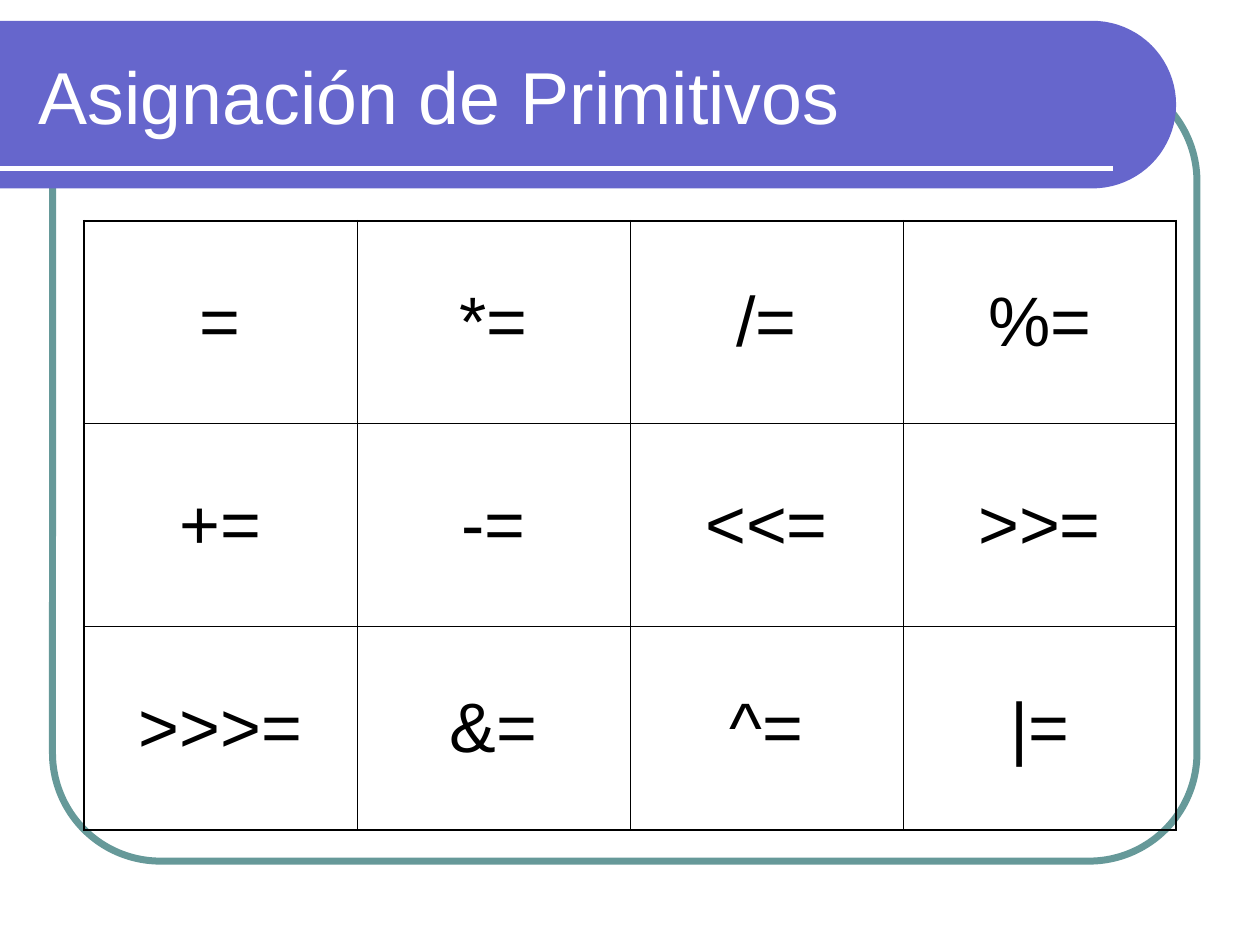
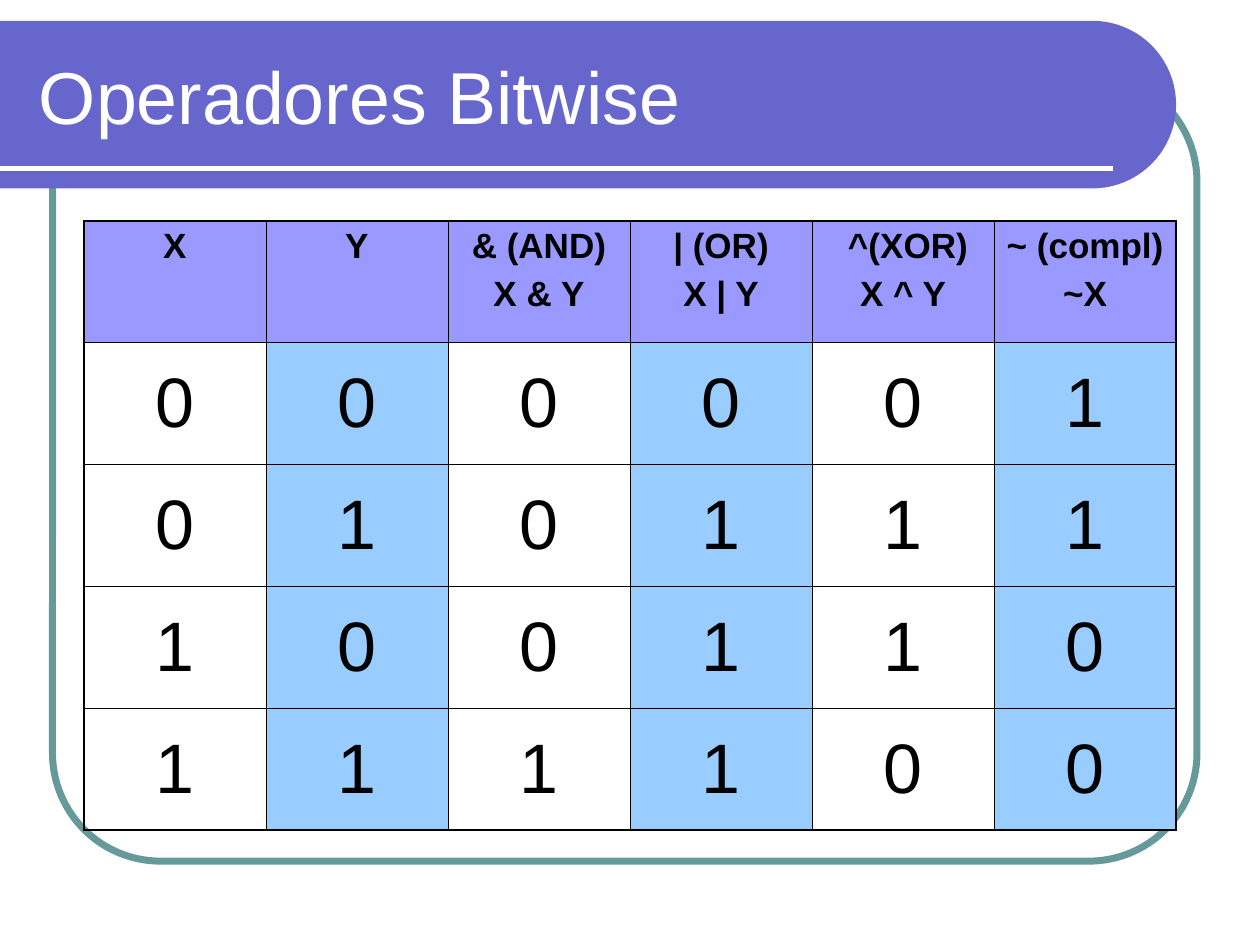
import math
from itertools import product

from lxml import etree
from pptx import Presentation
from pptx import util as u
from pptx.dml.color import RGBColor
from pptx.enum import shapes, text
from pptx.oxml.ns import qn

COLORS = {
    "band": "6666CC",
    "frame": "669999",
    "header": "9999FF",
    "stripe": "99CCFF",
    "title": "FFFFFF",
    "ink": "000000",
}
FONT = "Arial"
TABLE_LEFT, TABLE_TOP, TABLE_WIDTH, TABLE_HEIGHT = 1.69, 4.45, 22.02, 12.28
OUTER_LINE, INNER_LINE = 1.08, 0.45


def color(name):
    return RGBColor.from_string(COLORS[name])


def add_run(paragraph, words, size, ink="ink", bold=False):
    run = paragraph.add_run()
    run.text = words
    run.font.name = FONT
    run.font.size = u.Pt(size)
    run.font.bold = bold
    run.font.color.rgb = color(ink)


# Shared background: rounded frame, title band and rule
def draw_frame(slide):
    frame = slide.shapes.add_shape(
        shapes.MSO_SHAPE.ROUNDED_RECTANGLE,
        u.Cm(1.06), u.Cm(1.48), u.Cm(23.07), u.Cm(15.88))
    frame.adjustments[0] = 0.137
    frame.shadow.inherit = False
    frame.fill.background()
    frame.line.color.rgb = color("frame")
    frame.line.width = u.Pt(4)
    return frame


def draw_band(slide, top=0.42, right=23.71, radius=1.69, steps=40):
    center_x, center_y = right - radius, top + radius
    angles = [math.pi * (i / steps - 0.5) for i in range(steps + 1)]
    round_end = [(u.Cm(center_x + radius * math.cos(a)),
                  u.Cm(center_y + radius * math.sin(a))) for a in angles]
    outline = slide.shapes.build_freeform(0, u.Cm(top))
    outline.add_line_segments(round_end + [(0, u.Cm(top + 2 * radius))])
    band = outline.convert_to_shape()
    band.shadow.inherit = False
    band.fill.solid()
    band.fill.fore_color.rgb = color("band")
    band.line.fill.background()
    return band


def draw_rule(slide):
    rule = slide.shapes.add_connector(
        shapes.MSO_CONNECTOR.STRAIGHT, 0, u.Cm(3.39), u.Cm(22.43), u.Cm(3.39))
    rule.line.color.rgb = color("title")
    rule.line.width = u.Pt(3)
    etree.SubElement(rule.element.spPr, qn("a:effectLst"))
    return rule


def move_to_layout(layout, parts):
    """Put the background parts behind the layout's title, for every slide."""
    for holder in list(layout.placeholders):
        if holder.placeholder_format.type != shapes.PP_PLACEHOLDER.TITLE:
            holder.element.getparent().remove(holder.element)
    layout_title = layout.placeholders[0].element
    for part in parts:
        layout_title.addprevious(part.element)


# Titles
def add_titled_slide(prs, layout, words):
    slide = prs.slides.add_slide(layout)
    title = slide.shapes.title
    title.left, title.top = u.Cm(0.53), u.Cm(0.64)
    title.width, title.height = u.Cm(22.28), u.Cm(2.54)
    frame = title.text_frame
    frame.word_wrap = True
    frame.auto_size = text.MSO_AUTO_SIZE.NONE
    frame.vertical_anchor = text.MSO_ANCHOR.MIDDLE
    frame.paragraphs[0].alignment = text.PP_ALIGN.LEFT
    add_run(frame.paragraphs[0], words, 42, "title")
    return slide


# Tables
def set_borders(cell, outer_sides):
    properties = cell._tc.get_or_add_tcPr()
    for side in "LRTB":
        width = OUTER_LINE if side in outer_sides else INNER_LINE
        line = etree.SubElement(properties, qn(f"a:ln{side}"),
                                w=str(u.Pt(width)))
        fill = etree.SubElement(line, qn("a:solidFill"))
        etree.SubElement(fill, qn("a:srgbClr"), val=COLORS["ink"])


def fill_cell(cell, fill):
    if fill:
        cell.fill.solid()
        cell.fill.fore_color.rgb = color(fill)
    else:
        cell.fill.background()


def write_cell(cell, lines, size, bold, anchor):
    cell.vertical_anchor = anchor
    frame = cell.text_frame
    for i, words in enumerate(lines):
        paragraph = frame.add_paragraph() if i else frame.paragraphs[0]
        paragraph.alignment = text.PP_ALIGN.CENTER
        paragraph.space_before = u.Pt(size / 4)
        add_run(paragraph, words, size, bold=bold)


def add_grid(slide, rows, has_header=False, striped=False):
    row_count, column_count = len(rows), len(rows[0])
    grid = slide.shapes.add_table(
        row_count, column_count, u.Cm(TABLE_LEFT), u.Cm(TABLE_TOP),
        u.Cm(TABLE_WIDTH), u.Cm(TABLE_HEIGHT)).table
    grid.first_row = has_header
    grid.horz_banding = False
    for r, c in product(range(row_count), range(column_count)):
        cell = grid.cell(r, c)
        edges = {"T": r == 0, "B": r == row_count - 1,
                 "L": c == 0, "R": c == column_count - 1}
        set_borders(cell, [side for side, outer in edges.items() if outer])
        lines = str(rows[r][c]).split("\n")
        if has_header and r == 0:
            fill_cell(cell, "header")
            write_cell(cell, lines, 20, True, text.MSO_ANCHOR.TOP)
        else:
            fill_cell(cell, "stripe" if striped and c % 2 else None)
            write_cell(cell, lines, 40, False, text.MSO_ANCHOR.MIDDLE)


def main():
    prs = Presentation()
    prs.slide_width, prs.slide_height = u.Cm(25.4), u.Cm(19.05)
    layout = prs.slide_layouts.get_by_name("Title Only")

    # Assignment operators
    assignment = add_titled_slide(prs, layout, "Asignación de Primitivos")
    move_to_layout(layout, [draw_frame(assignment), draw_band(assignment),
                            draw_rule(assignment)])
    add_grid(assignment, [
        ["=", "*=", "/=", "%="],
        ["+=", "-=", "<<=", ">>="],
        [">>>=", "&=", "^=", "|="],
    ])

    # Truth table of the bitwise operators
    bitwise = add_titled_slide(prs, layout, "Operadores Bitwise")
    header = ["X", "Y", "& (AND)\nX & Y", "| (OR)\nX | Y",
              " ^(XOR)\nX ^ Y", "~ (compl)\n~X"]
    truth = [[x, y, x & y, x | y, x ^ y, 1 - x]
             for x, y in product((0, 1), repeat=2)]
    add_grid(bitwise, [header] + truth, has_header=True, striped=True)

    prs.save("out.pptx")


if __name__ == "__main__":
    main()
